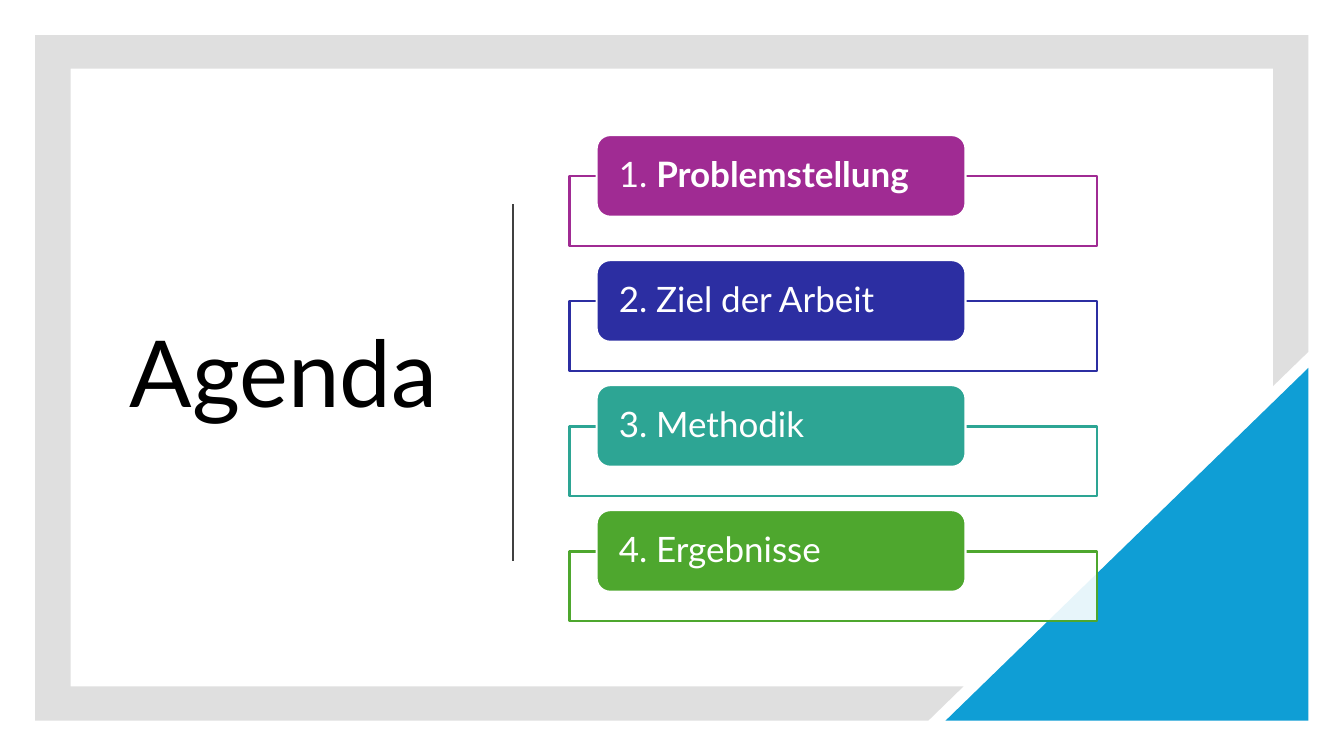
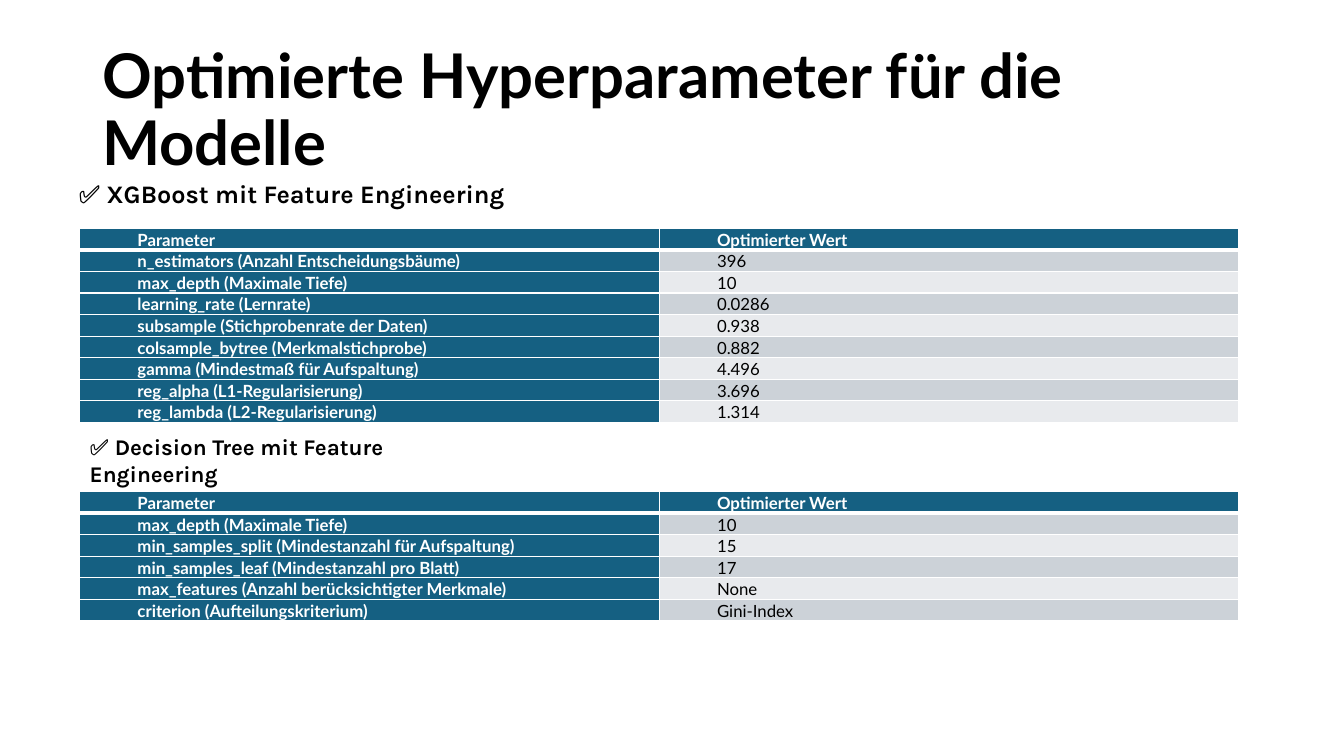
import pptx
import pptx.dml.color
import pptx.enum.shapes
import pptx.enum.text
import pptx.oxml.ns
import pptx.util
from lxml import etree

Pt = pptx.util.Pt
RGBColor = pptx.dml.color.RGBColor
MSO_SHAPE = pptx.enum.shapes.MSO_SHAPE
ANCHOR = pptx.enum.text.MSO_ANCHOR
ALIGN = pptx.enum.text.PP_ALIGN
qn = pptx.oxml.ns.qn

WHITE = RGBColor(0xFF, 0xFF, 0xFF)
BLACK = RGBColor(0x00, 0x00, 0x00)
FRAME_GREY = RGBColor(0x80, 0x80, 0x80)
RULE_GREY = RGBColor(0x40, 0x40, 0x40)
CORNER_BLUE = RGBColor(0x0F, 0x9E, 0xD5)
PURPLE = RGBColor(0xA0, 0x2B, 0x93)
INDIGO = RGBColor(0x2C, 0x2E, 0xA2)
TEAL = RGBColor(0x2D, 0xA5, 0x94)
GREEN = RGBColor(0x4E, 0xA7, 0x2E)
TABLE_BLUE = RGBColor(0x15, 0x60, 0x82)
BAND_DARK = RGBColor(0xCC, 0xD2, 0xD8)
BAND_LIGHT = RGBColor(0xE8, 0xEA, 0xED)

LATO, KARLA = "Lato", "Karla"


class Deck:
    """Shared style and the slide being drawn."""

    def __init__(self):
        self.prs = pptx.Presentation()
        self.prs.slide_width, self.prs.slide_height = Pt(960), Pt(540)
        self.slide = None

    def new_slide(self):
        self.slide = self.prs.slides.add_slide(self.prs.slide_layouts[6])

    def paint(self, shape, fill, line=None, opacity=100):
        shape.shadow.inherit = False
        shape.fill.solid()
        shape.fill.fore_color.rgb = fill
        if opacity < 100:
            color = shape._element.spPr.find(qn("a:solidFill"))[0]
            etree.SubElement(color, qn("a:alpha"), val=str(opacity * 1000))
        if line is None:
            shape.line.fill.background()
        else:
            shape.line.color.rgb = line
            shape.line.width = Pt(1.5)

    def block(self, preset, box, fill, line=None, opacity=100):
        shape = self.slide.shapes.add_shape(preset, *map(Pt, box))
        self.paint(shape, fill, line, opacity)
        return shape

    def outline(self, points, fill, opacity):
        corners = [(Pt(x), Pt(y)) for x, y in points]
        builder = self.slide.shapes.build_freeform(*corners[0])
        builder.add_line_segments(corners[1:])
        self.paint(builder.convert_to_shape(), fill, opacity=opacity)

    def rule(self, start, end, color):
        line = self.slide.shapes.add_connector(
            pptx.enum.shapes.MSO_CONNECTOR.STRAIGHT, *map(Pt, start + end))
        line.line.color.rgb = color
        line.line.width = Pt(1.5)
        etree.SubElement(line._element.spPr, qn("a:effectLst"))

    def fill_text(self, frame, runs, size, font=LATO, color=BLACK, spacing=1.0,
                  align=ALIGN.LEFT):
        """Fill a text frame with one paragraph of (text, bold) runs."""
        paragraph = frame.paragraphs[0]
        paragraph.alignment = align
        paragraph.line_spacing = spacing
        paragraph.font.name = font
        paragraph.font.size = Pt(size)
        paragraph.font.color.rgb = color
        for text, bold in runs:
            run = paragraph.add_run()
            run.text = text
            run.font.bold = bold

    def text(self, box, runs, size, anchor=ANCHOR.TOP, **style):
        frame = self.slide.shapes.add_textbox(*map(Pt, box)).text_frame
        frame.word_wrap = True
        frame.vertical_anchor = anchor
        self.fill_text(frame, runs, size, **style)

    def title(self, box, text, size, bold=False, **style):
        self.text(box, [(text, bold)], size, spacing=0.9, **style)

    def agenda_item(self, top, runs, color):
        self.block(MSO_SHAPE.RECTANGLE, (406.8, top + 29.5, 376.6, 49.7),
                   WHITE, color, opacity=90)
        label = self.block(MSO_SHAPE.ROUNDED_RECTANGLE,
                           (426.2, top, 263.5, 58.3), color, WHITE)
        frame = label.text_frame
        frame.word_wrap = True
        frame.vertical_anchor = ANCHOR.MIDDLE
        frame.margin_left = frame.margin_right = Pt(13)
        frame.margin_top = frame.margin_bottom = 0
        self.fill_text(frame, runs, 25, color=WHITE, spacing=0.9)

    def cell(self, cell, text, fill, color, bold, top, bottom):
        borders = cell._tc.get_or_add_tcPr()
        for side, width in zip("LRTB", (1, 1, top, bottom)):
            edge = etree.SubElement(borders, qn("a:ln" + side), w=str(Pt(width)))
            solid = etree.SubElement(edge, qn("a:solidFill"))
            etree.SubElement(solid, qn("a:srgbClr"), val=str(WHITE))
        cell.fill.solid()
        cell.fill.fore_color.rgb = fill
        cell.margin_left, cell.margin_right = Pt(41.2), Pt(5.2)
        cell.margin_top = cell.margin_bottom = 0
        self.fill_text(cell.text_frame, [(text, bold)], 12, color=color,
                       spacing=1.07)

    def parameter_table(self, top, parameters):
        rows = [("Parameter", "Optimierter Wert")] + parameters
        row_height = 14.88
        table = self.slide.shapes.add_table(
            len(rows), 2, Pt(57), Pt(top), Pt(828),
            Pt(row_height * len(rows))).table
        table.first_row = table.horz_banding = False
        for r, row in enumerate(rows):
            table.rows[r].height = Pt(row_height)
            for c, text in enumerate(row):
                heading = r == 0 or c == 0
                band = BAND_DARK if r % 2 else BAND_LIGHT
                self.cell(table.cell(r, c), text,
                          fill=TABLE_BLUE if heading else band,
                          color=WHITE if heading else BLACK, bold=heading,
                          top=3 if r == 1 else 1, bottom=3 if r == 0 else 1)


def agenda_slide(deck):
    deck.new_slide()

    # Grey frame, cut off by the blue corner
    deck.outline([(25.2, 25.2), (934.6, 25.2), (934.6, 251.3), (909.4, 275.8),
                  (909.4, 49), (50.4, 49), (50.4, 490.3), (688.3, 490.3),
                  (663.1, 514.8), (25.2, 514.8)], FRAME_GREY, opacity=25)
    corner = deck.block(MSO_SHAPE.RIGHT_TRIANGLE, (675.4, 262.8, 259.2, 252),
                        CORNER_BLUE)
    corner._element.spPr.xfrm.set("flipH", "1")

    # Title and divider
    deck.title((79.2, 93.6, 240.5, 352.8), "Agenda", 66,
               align=ALIGN.RIGHT, anchor=ANCHOR.MIDDLE)
    deck.rule((366.5, 146), (366.5, 401), RULE_GREY)

    # Agenda items
    items = [
        ([("1. ", False), ("Problemstellung", True)], PURPLE),
        ([("2. Ziel der Arbeit", False)], INDIGO),
        ([("3. Methodik", False)], TEAL),
        ([("4. Ergebnisse", False)], GREEN),
    ]
    for i, (runs, color) in enumerate(items):
        deck.agenda_item(96.5 + 89.3 * i, runs, color)


def hyperparameter_slide(deck):
    deck.new_slide()
    deck.title((66, 28.8, 828, 104.4),
               "Optimierte Hyperparameter für die Modelle", 44, bold=True)

    # Tables
    deck.parameter_table(163, [
        ("n_estimators (Anzahl Entscheidungsbäume)", "396"),
        ("max_depth (Maximale Tiefe)", "10"),
        ("learning_rate (Lernrate)", "0.0286"),
        ("subsample (Stichprobenrate der Daten)", "0.938"),
        ("colsample_bytree (Merkmalstichprobe)", "0.882"),
        ("gamma (Mindestmaß für Aufspaltung)", "4.496"),
        ("reg_alpha (L1-Regularisierung)", "3.696"),
        ("reg_lambda (L2-Regularisierung)", "1.314"),
    ])
    deck.parameter_table(351, [
        ("max_depth (Maximale Tiefe)", "10"),
        ("min_samples_split (Mindestanzahl für Aufspaltung)", "15"),
        ("min_samples_leaf (Mindestanzahl pro Blatt)", "17"),
        ("max_features (Anzahl berücksichtigter Merkmale)", "None"),
        ("criterion (Aufteilungskriterium)", "Gini-Index"),
    ])

    # Table headings
    deck.text((57, 315.4, 309.6, 26.6),
              [("✅ Decision Tree mit Feature Engineering", True)], 16,
              font=KARLA, anchor=ANCHOR.MIDDLE)
    deck.text((49, 123.8, 480, 28.8),
              [("✅ ", False), ("XGBoost mit Feature Engineering", True)], 18,
              font=KARLA)


def main():
    deck = Deck()
    agenda_slide(deck)
    hyperparameter_slide(deck)
    deck.prs.save("out.pptx")


if __name__ == "__main__":
    main()
